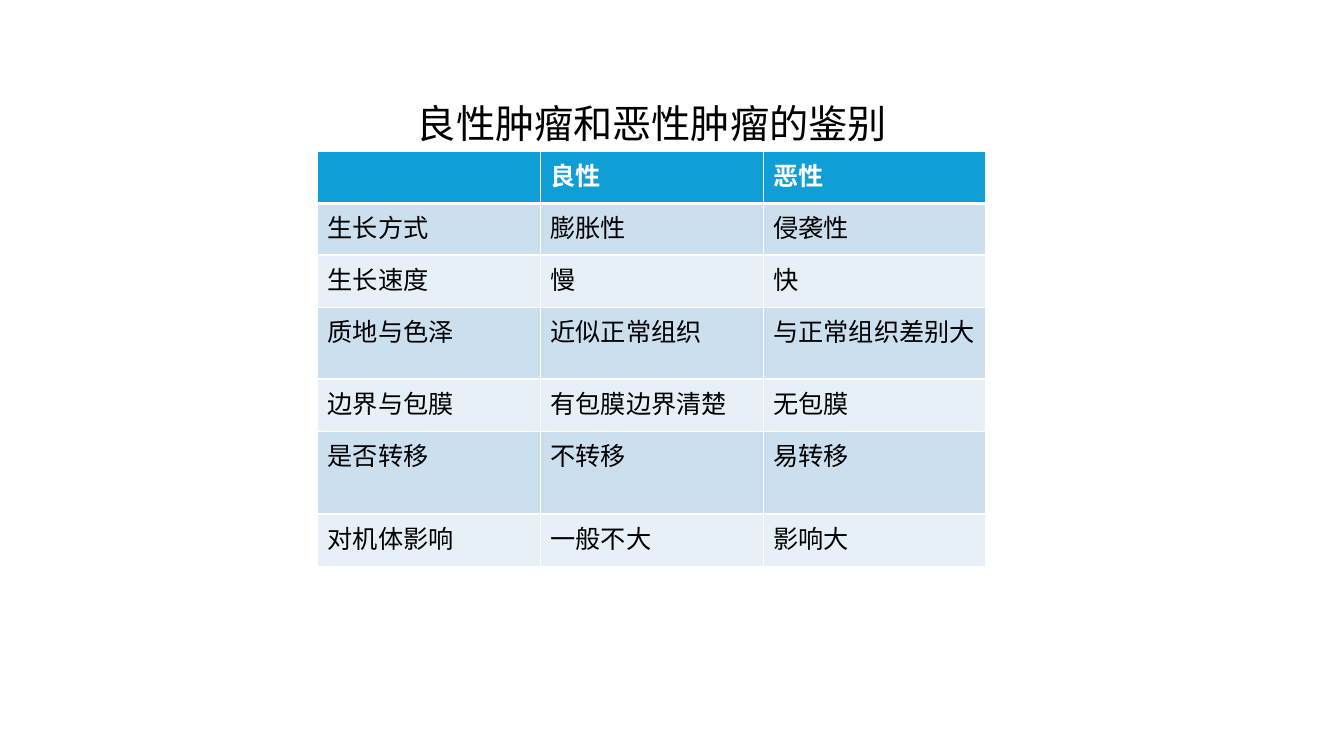
"""Build a slide comparing benign and malignant tumours in a table."""
from dataclasses import dataclass

from lxml.etree import SubElement
from pptx import Presentation
from pptx.dml.color import RGBColor as Rgb
from pptx.enum.text import MSO_ANCHOR as Anchor
from pptx.enum.text import MSO_AUTO_SIZE as AutoSize
from pptx.enum.text import PP_ALIGN as Align
from pptx.oxml.ns import qn
from pptx.slide import Slide
from pptx.table import _Cell as Cell
from pptx.text.text import _Paragraph as Paragraph
from pptx.util import Inches, Pt

COLORS = {
    "header": "0F9ED5",
    "band_dark": "CCDFEF",
    "band_light": "E7F0F7",
    "grid": "FFFFFF",
    "header_text": "FFFFFF",
    "text": "000000",
}
FONT = "Noto Sans CJK SC"
LEFT, WIDTH = 3.15, 6.63
TITLE_TOP, TITLE_HEIGHT = 0.93, 0.57
TABLE_TOP = 1.5


@dataclass(frozen=True)
class Comparison:
    feature: str
    benign: str
    malignant: str
    height: float = 0.52


COMPARISONS = [
    Comparison("", "良性", "恶性"),
    Comparison("生长方式", "膨胀性", "侵袭性", 0.51),
    Comparison("生长速度", "慢", "快"),
    Comparison("质地与色泽", "近似正常组织", "与正常组织差别大", 0.71),
    Comparison("边界与包膜", "有包膜边界清楚", "无包膜"),
    Comparison("是否转移", "不转移", "易转移", 0.82),
    Comparison("对机体影响", "一般不大", "影响大"),
]


def add_text(paragraph: Paragraph, text: str, size: int, color: str, bold: bool = False) -> None:
    run = paragraph.add_run()
    run.text = text
    run.font.name = FONT
    run.font.size = Pt(size)
    run.font.bold = bold
    run.font.color.rgb = Rgb.from_string(COLORS[color])
    SubElement(run.font._element, qn("a:ea"), typeface=FONT)


def fill_cell(cell: Cell, color: str, bottom_width: int, top_width: int) -> None:
    properties = cell._tc.get_or_add_tcPr()
    for side, width in {"L": 1, "R": 1, "T": top_width, "B": bottom_width}.items():
        border = SubElement(properties, qn(f"a:ln{side}"), w=str(Pt(width)))
        solid = SubElement(border, qn("a:solidFill"))
        SubElement(solid, qn("a:srgbClr"), val=COLORS["grid"])
    cell.fill.solid()
    cell.fill.fore_color.rgb = Rgb.from_string(COLORS[color])


def add_comparison_table(slide: Slide) -> None:
    total_height = sum(comparison.height for comparison in COMPARISONS)
    table = slide.shapes.add_table(
        len(COMPARISONS), 3, Inches(LEFT), Inches(TABLE_TOP), Inches(WIDTH), Inches(total_height)
    ).table
    for column in table.columns:
        column.width = Inches(WIDTH / 3)
    for index, comparison in enumerate(COMPARISONS):
        is_header = index == 0
        band = "header" if is_header else "band_dark" if index % 2 else "band_light"
        table.rows[index].height = Inches(comparison.height)
        entries = (comparison.feature, comparison.benign, comparison.malignant)
        for cell, entry in zip(table.rows[index].cells, entries):
            fill_cell(cell, band, 3 if is_header else 1, 3 if index == 1 else 1)
            if entry:
                color = "header_text" if is_header else "text"
                add_text(cell.text_frame.paragraphs[0], entry, 18, color, is_header)


def add_title(slide: Slide) -> None:
    frame = slide.shapes.add_textbox(
        Inches(LEFT), Inches(TITLE_TOP), Inches(WIDTH), Inches(TITLE_HEIGHT)
    ).text_frame
    frame.word_wrap = True
    frame.auto_size = AutoSize.SHAPE_TO_FIT_TEXT
    frame.vertical_anchor = Anchor.MIDDLE
    heading = frame.paragraphs[0]
    heading.alignment = Align.CENTER
    add_text(heading, "良性肿瘤和恶性肿瘤的鉴别", 28, "text")


def main() -> None:
    deck = Presentation()
    deck.slide_width, deck.slide_height = Inches(13.33), Inches(7.5)
    slide = deck.slides.add_slide(deck.slide_layouts[6])
    add_comparison_table(slide)
    add_title(slide)
    deck.save("out.pptx")


if __name__ == "__main__":
    main()
